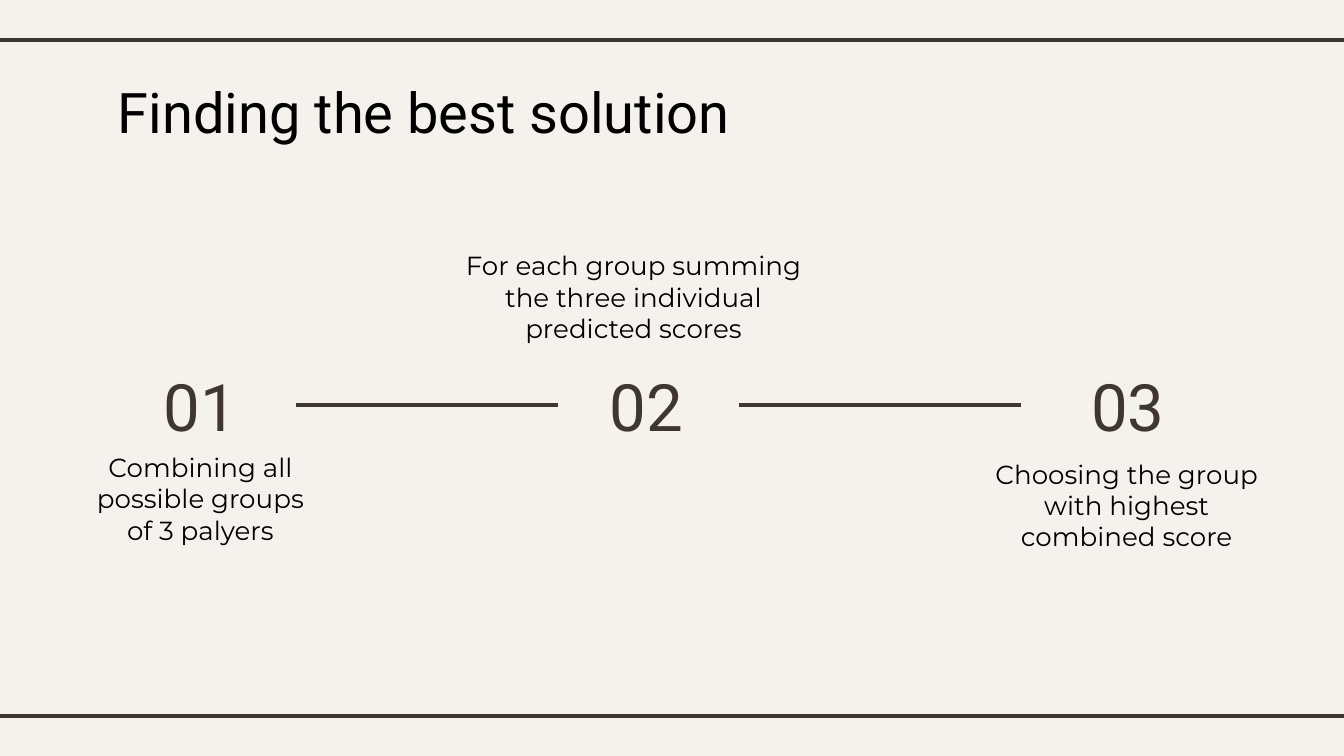
from lxml import etree
from pptx import Presentation
from pptx.dml.color import RGBColor
from pptx.enum.shapes import MSO_CONNECTOR
from pptx.enum.text import MSO_ANCHOR, MSO_AUTO_SIZE, PP_ALIGN
from pptx.oxml.ns import qn
from pptx.util import Cm, Pt

STRAIGHT = MSO_CONNECTOR.STRAIGHT
TOP, MIDDLE = MSO_ANCHOR.TOP, MSO_ANCHOR.MIDDLE
LEFT, CENTER = PP_ALIGN.LEFT, PP_ALIGN.CENTER
NO_AUTOFIT = MSO_AUTO_SIZE.NONE

CREAM = RGBColor(0xF5, 0xF2, 0xEE)
BROWN = RGBColor(0x3F, 0x35, 0x33)
BLACK = RGBColor(0x00, 0x00, 0x00)
HEADING_FONT, BODY_FONT = "Roboto", "Montserrat"

SLIDE_WIDTH, SLIDE_HEIGHT = 25.4, 14.29
INSET = 0.25
OVERHANG = 0.2
BORDER_HEIGHTS = (0.76, 13.54)
NUMBER_TOP, NUMBER_HEIGHT = 6.73, 1.85
TIMELINE_HEIGHT = 7.65

TITLE = "Finding the best solution"
TITLE_BOX = (1.98, 1.22, 21.44, 1.6)
STEPS = [
    {"number": "01", "left": 1.98, "width": 3.61,
     "description": "Combining all possible groups of 3 palyers",
     "box": (1.4, 8.28, 4.78, 1.6)},
    {"number": "02", "left": 10.46, "width": 3.51,
     "description": "For each group summing the three individual predicted scores",
     "box": (8.51, 4.47, 6.93, 1.75)},
    {"number": "03", "left": 19.56, "width": 3.51,
     "description": "Choosing the group with highest combined score",
     "box": (18.54, 8.41, 5.51, 1.6)},
]
TIMELINE_LINKS = [(5.59, 10.54), (13.97, 19.3)]


def write(holder, text, font, size, color, align=CENTER, anchor=TOP):
    frame = holder.text_frame
    frame.text = text
    frame.word_wrap = True
    frame.auto_size = NO_AUTOFIT
    frame.vertical_anchor = anchor
    frame.margin_left = frame.margin_right = Cm(INSET)
    frame.margin_top = frame.margin_bottom = Cm(INSET)
    paragraph = frame.paragraphs[0]
    paragraph.alignment = align
    run_font = paragraph.runs[0].font
    run_font.name, run_font.size = font, Pt(size)
    run_font.color.rgb = color


def add_rule(slide, start, end, height):
    rule = slide.shapes.add_connector(
        STRAIGHT, Cm(start), Cm(height), Cm(end), Cm(height))
    rule.line.color.rgb = BROWN
    rule.line.width = Pt(2.25)
    etree.SubElement(rule._element.spPr, qn("a:effectLst"))


def add_text(slide, box, *style, **layout):
    holder = slide.shapes.add_textbox(*map(Cm, box))
    write(holder, *style, **layout)


def main():
    deck = Presentation()
    deck.slide_width, deck.slide_height = Cm(SLIDE_WIDTH), Cm(SLIDE_HEIGHT)
    slide = deck.slides.add_slide(deck.slide_layouts[5])
    slide.background.fill.solid()
    slide.background.fill.fore_color.rgb = CREAM

    for height in BORDER_HEIGHTS:
        add_rule(slide, -OVERHANG, SLIDE_WIDTH + OVERHANG, height)

    title = slide.shapes.title
    title.left, title.top, title.width, title.height = map(Cm, TITLE_BOX)
    write(title, TITLE, HEADING_FONT, 30, BLACK, align=LEFT)

    for start, end in TIMELINE_LINKS:
        add_rule(slide, start, end, TIMELINE_HEIGHT)

    for step in STEPS:
        number_box = (step["left"], NUMBER_TOP, step["width"], NUMBER_HEIGHT)
        add_text(slide, number_box, step["number"], HEADING_FONT, 35, BROWN, anchor=MIDDLE)
        add_text(slide, step["box"], step["description"], BODY_FONT, 14, BLACK)

    deck.save("out.pptx")


if __name__ == "__main__":
    main()
